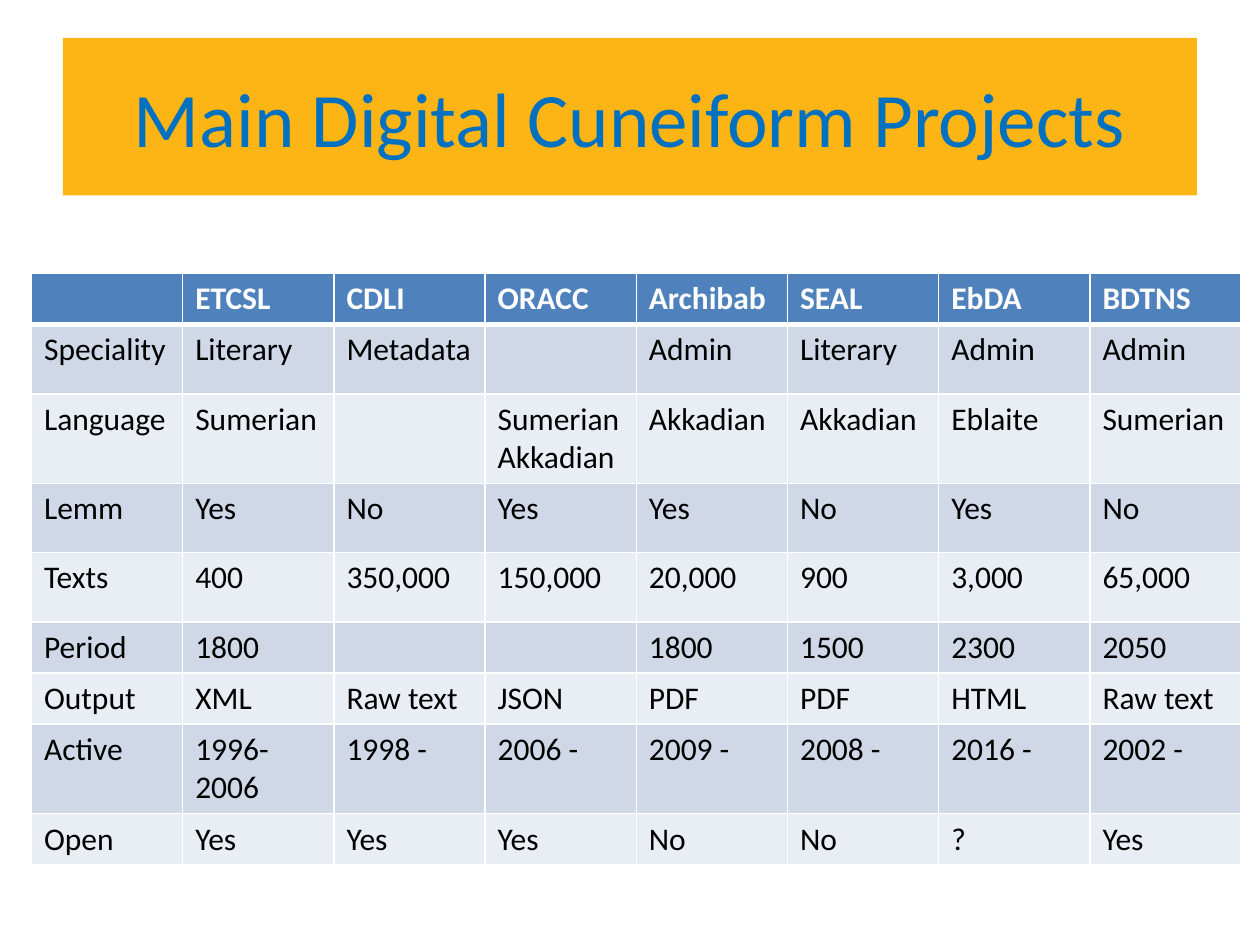
from dataclasses import dataclass

from lxml.etree import SubElement
from pptx import Presentation
from pptx.dml.color import RGBColor
from pptx.enum.shapes import MSO_SHAPE
from pptx.enum.text import MSO_ANCHOR, PP_ALIGN
from pptx.oxml.ns import qn
from pptx.util import Inches, Pt

# Content
TITLE = "Main Digital Cuneiform Projects"
PROJECTS = ["", "ETCSL", "CDLI", "ORACC", "Archibab", "SEAL", "EbDA", "BDTNS"]
FEATURES = [  # row height, then the label and one value per project
    (0.55, ["Speciality", "Literary", "Metadata", "", "Admin", "Literary", "Admin", "Admin"]),
    (0.55, ["Language", "Sumerian", "", "Sumerian Akkadian", "Akkadian", "Akkadian", "Eblaite", "Sumerian"]),
    (0.55, ["Lemm", "Yes", "No", "Yes", "Yes", "No", "Yes", "No"]),
    (0.55, ["Texts", "400", "350,000", "150,000", "20,000", "900", "3,000", "65,000"]),
    (0.39, ["Period", "1800", "", "", "1800", "1500", "2300", "2050"]),
    (0.39, ["Output", "XML", "Raw text", "JSON", "PDF", "PDF", "HTML", "Raw text"]),
    (0.69, ["Active", "1996-2006", "1998 -", "2006 -", "2009 -", "2008 -", "2016 -", "2002 -"]),
    (0.39, ["Open", "Yes", "Yes", "Yes", "No", "No", "?", "Yes"]),
]
ROWS = [(0.39, PROJECTS)] + FEATURES
COLUMN_WIDTH = 1.2


@dataclass(frozen=True)
class Theme:
    font: str = "Calibri"
    title_size: int = 44
    cell_size: int = 18
    title_fill: str = "FCB515"
    title_text: str = "0070C0"
    header_fill: str = "4F81BD"
    header_text: str = "FFFFFF"
    bands: tuple = ("D0D8E8", "E9EDF4")
    cell_text: str = "000000"
    border: str = "FFFFFF"
    thin: int = 1
    thick: int = 3


THEME = Theme()


def write(frame, text, *, size, color, bold=False, align=PP_ALIGN.LEFT):
    para = frame.paragraphs[0]
    para.alignment = align
    para.font.size = Pt(size)
    if text:
        span = para.add_run()
        span.text = text
        span.font.name = THEME.font
        span.font.size = Pt(size)
        span.font.bold = bold
        span.font.color.rgb = RGBColor.from_string(color)


def paint(target, color):
    target.fill.solid()
    target.fill.fore_color.rgb = RGBColor.from_string(color)


def add_borders(cell, **widths):
    properties = cell._tc.get_or_add_tcPr()
    for side in "LRTB":
        line = SubElement(properties, qn(f"a:ln{side}"), w=str(Pt(widths.get(side, THEME.thin))))
        fill = SubElement(line, qn("a:solidFill"))
        SubElement(fill, qn("a:srgbClr"), val=THEME.border)


def add_title(page):
    box = page.shapes.add_shape(MSO_SHAPE.RECTANGLE, Inches(0.5), Inches(0.3), Inches(9), Inches(1.25))
    box.shadow.inherit = False
    box.line.fill.background()
    paint(box, THEME.title_fill)
    box.text_frame.word_wrap = True
    box.text_frame.vertical_anchor = MSO_ANCHOR.MIDDLE
    write(box.text_frame, TITLE, size=THEME.title_size, color=THEME.title_text, align=PP_ALIGN.CENTER)


def add_project_table(page):
    height = sum(row_height for row_height, _ in ROWS)
    table = page.shapes.add_table(
        len(ROWS), len(PROJECTS), Inches(0.25), Inches(2.17),
        Inches(COLUMN_WIDTH * len(PROJECTS)), Inches(height),
    ).table
    for column in table.columns:
        column.width = Inches(COLUMN_WIDTH)
    for row, (row_height, values) in enumerate(ROWS):
        table.rows[row].height = Inches(row_height)
        header = row == 0
        # The thick rule lies between the header and the first feature
        rule = {0: {"B": THEME.thick}, 1: {"T": THEME.thick}}.get(row, {})
        for column, value in enumerate(values):
            cell = table.cell(row, column)
            add_borders(cell, **rule)
            paint(cell, THEME.header_fill if header else THEME.bands[(row - 1) % 2])
            write(cell.text_frame, value, size=THEME.cell_size, bold=header,
                  color=THEME.header_text if header else THEME.cell_text)


def main():
    deck = Presentation()
    deck.slide_width, deck.slide_height = Inches(10), Inches(7.5)
    page = deck.slides.add_slide(deck.slide_layouts[6])
    add_project_table(page)
    add_title(page)
    deck.save("out.pptx")


if __name__ == "__main__":
    main()
